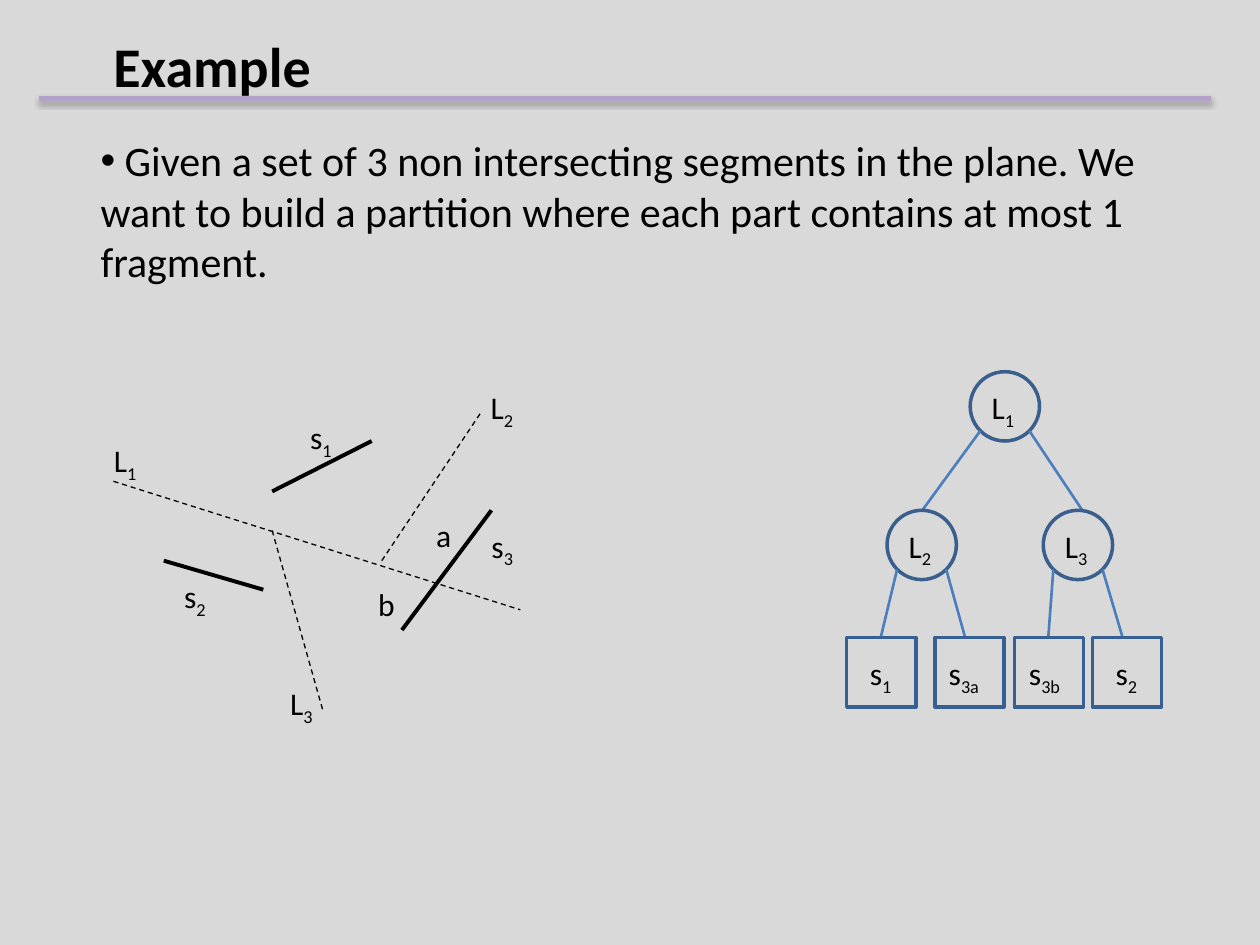
from pptx import Presentation
from pptx.dml.color import RGBColor
from pptx.enum.dml import MSO_LINE
from pptx.enum.shapes import MSO_CONNECTOR, MSO_SHAPE
from pptx.enum.text import MSO_ANCHOR as ANCHOR, MSO_AUTO_SIZE as AUTO, PP_ALIGN as AL
from pptx.oxml import parse_xml
from pptx.oxml.ns import nsdecls
from pptx.util import Inches, Pt

BLACK = RGBColor(0x00, 0x00, 0x00)
GREY = RGBColor(0xD9, 0xD9, 0xD9)
LILAC = RGBColor(0xB3, 0xA2, 0xC7)
CIRCLE = RGBColor(0x3A, 0x5F, 0x8C)
SQUARE = RGBColor(0x37, 0x60, 0x92)
EDGE = RGBColor(0x4B, 0x7E, 0xBC)

COLS, ROWS = 10, 7.5
NODE, LABEL_H = 0.55, 0.4
SHADOW = ('<a:outerShdw blurRad="40000" dist="23000" dir="5400000" rotWithShape="0">'
          '<a:srgbClr val="000000"><a:alpha val="35000"/></a:srgbClr></a:outerShdw>')

SEGMENTS = [(2.16, 3.9, 2.95, 3.5), (1.3, 4.45, 2.09, 4.68), (3.19, 5, 3.9, 4.05)]
CUTS = [(0.9, 3.82, 4.13, 4.84), (3.03, 4.45, 3.82, 3.27), (2.16, 4.21, 2.56, 5.63)]
LABELS = [
    (2.34, 3.27, 0.39, "s", "1"), (1.34, 4.53, 0.39, "s", "2"), (3.78, 4.13, 0.39, "s", "3"),
    (0.79, 3.45, 0.39, "L", "1"), (3.78, 3.03, 0.39, "L", "2"), (2.19, 5.38, 0.39, "L", "3"),
    (3.36, 4.05, 0.32, "a", ""), (2.89, 4.59, 0.34, "b", ""),
]
CIRCLES = [
    (7.7, 2.95, "1", (7.32, 8.59), 4.05),
    (7.04, 4.05, "2", (6.99, 7.66), 5.06),
    (8.28, 4.05, "3", (8.32, 8.91), 5.06),
]
SQUARES = [(6.72, "1", 0.03), (7.42, "3a", -0.01), (8.05, "3b", 0), (8.67, "2", 0.03)]


class Deck:
    """Draws styled elements on the current slide, measured in grid columns and rows."""

    def __init__(self):
        self.prs = Presentation()
        self.prs.slide_width, self.prs.slide_height = Inches(10), Inches(7.5)
        self.s = self.prs.slides.add_slide(self.prs.slide_layouts[5])
        self.s.background.fill.solid()
        self.s.background.fill.fore_color.rgb = GREY

    def grid(self, *values):
        units = (self.prs.slide_width / COLS, self.prs.slide_height / ROWS)
        return [round(v * units[i % 2]) for i, v in enumerate(values)]

    def style(self, target, **values):
        for name, value in values.items():
            setattr(target, name, value)

    def add_runs(self, p, text, size, sub="", bold=False):
        for part, base in ((text, None), (sub, "-25000")):
            if part:
                r = p.add_run()
                r.text = part
                self.style(r.font, name="Calibri", size=Pt(size), bold=bold)
                r.font.color.rgb = BLACK
                if base:
                    r._r.get_or_add_rPr().set("baseline", base)

    def title(self, box, text):
        sp = self.s.shapes.title
        self.style(sp, **dict(zip(("left", "top", "width", "height"), self.grid(*box))))
        self.style(sp.text_frame, vertical_anchor=ANCHOR.MIDDLE, word_wrap=True)
        p = sp.text_frame.paragraphs[0]
        p.alignment = AL.LEFT
        self.add_runs(p, text, 32, bold=True)

    def text(self, box, text, sub="", size=18, align=AL.LEFT, wrap=True, bullet=None):
        tf = self.s.shapes.add_textbox(*self.grid(*box)).text_frame
        self.style(tf, word_wrap=wrap, auto_size=AUTO.SHAPE_TO_FIT_TEXT)
        p = tf.paragraphs[0]
        if bullet:
            pPr = p._p.get_or_add_pPr()
            pPr.append(parse_xml(f'<a:buFont {nsdecls("a")} typeface="Arial"/>'))
            pPr.append(parse_xml(f'<a:buChar {nsdecls("a")} char="{bullet}"/>'))
        p.alignment = align
        self.add_runs(p, text, size, sub)

    def line(self, ends, color, width, dash=None, effect=""):
        ln = self.s.shapes.add_connector(MSO_CONNECTOR.STRAIGHT, *self.grid(*ends))
        ln.line.color.rgb = color
        self.style(ln.line, width=Pt(width), dash_style=dash)
        ln._element.spPr.append(parse_xml(f'<a:effectLst {nsdecls("a")}>{effect}</a:effectLst>'))

    def node(self, x, y, kind, color, text, sub, shift):
        sp = self.s.shapes.add_shape(kind, *self.grid(x, y, NODE, NODE))
        sp.shadow.inherit = False
        sp.fill.background()
        sp.line.color.rgb = color
        sp.line.width = Pt(2)
        self.text((x + shift, y + 0.08, 0.48, LABEL_H), text, sub, align=AL.CENTER)


def main():
    deck = Deck()
    deck.line((0.31, 0.78, 9.61, 0.78), LILAC, 3, effect=SHADOW)
    deck.title((0.8, 0.16, 8.5, 0.72), "Example")
    for ends in SEGMENTS:
        deck.line(ends, BLACK, 2.25)
    for ends in CUTS:
        deck.line(ends, BLACK, 0.75, MSO_LINE.DASH)
    for x, y, w, text, sub in LABELS:
        deck.text((x, y, w, LABEL_H), text, sub, align=AL.RIGHT, wrap=False)
    for x, y, sub, children, child_y in CIRCLES:
        deck.node(x, y, MSO_SHAPE.OVAL, CIRCLE, "L", sub, 0.02)
        for start, end in zip((x + 0.08, x + NODE - 0.08), children):
            deck.line((start, y + 0.47, end, child_y), EDGE, 1.5)
    for x, sub, shift in SQUARES:
        deck.node(x, 5.06, MSO_SHAPE.RECTANGLE, SQUARE, "s", sub, shift)
    deck.text((0.7, 1.02, 8.44, 1.31),
              " Given a set of 3 non intersecting segments in the plane. We want to build "
              "a partition where each part contains at most 1 fragment.",
              size=24, bullet="•")
    deck.prs.save("out.pptx")


if __name__ == "__main__":
    main()
